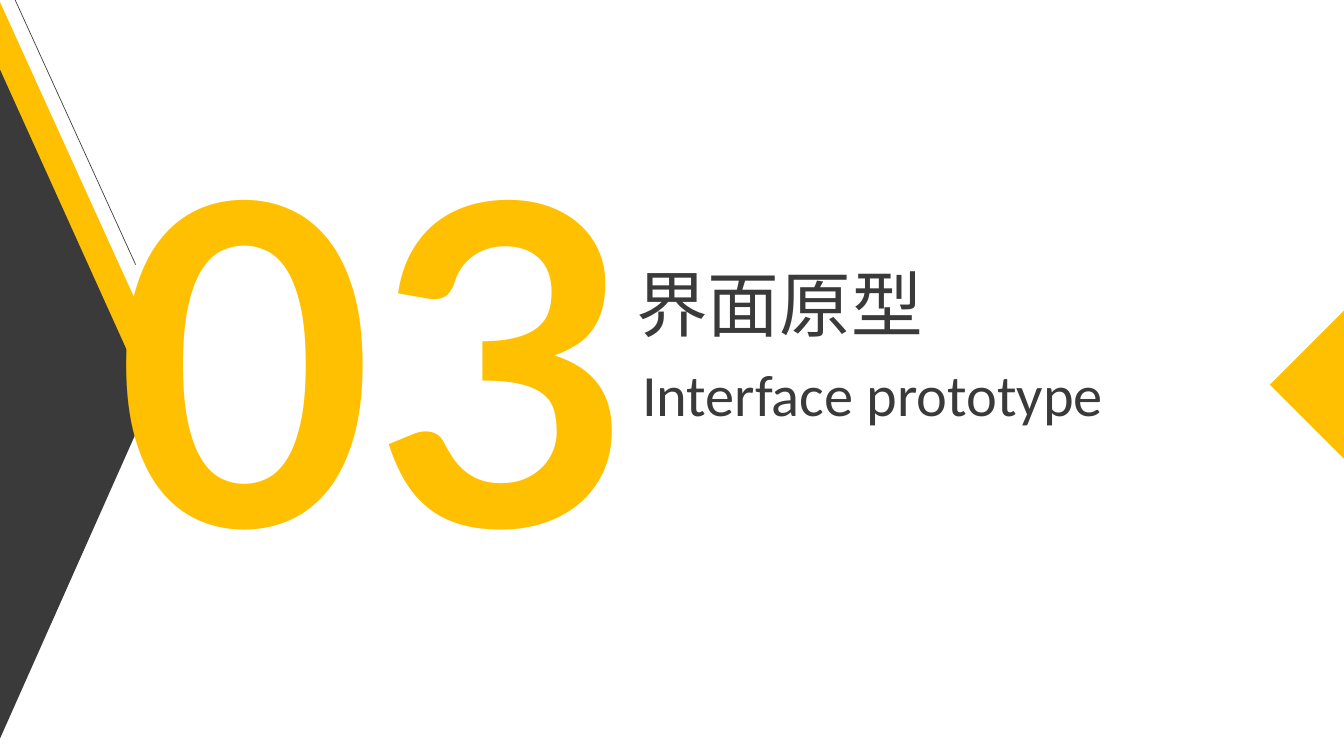
from pptx import Presentation
from pptx.dml.color import RGBColor
from pptx.enum.shapes import MSO_CONNECTOR
from pptx.enum.text import MSO_AUTO_SIZE, PP_ALIGN
from pptx.oxml.ns import qn
from pptx.util import Pt
from lxml.etree import SubElement

COLORS = {"yellow": "FFC001", "charcoal": "3A3A3A"}

deck = Presentation()
deck.slide_width, deck.slide_height = Pt(1012.5), Pt(569.5)
slide = deck.slides.add_slide(deck.slide_layouts[6])

wedges = [
    ("yellow", [(-6.5, 0), (-0.7, 0), (113, 250.5), (-6.5, 520)]),
    ("charcoal", [(-6.5, 38), (113, 302.5), (-5.8, 569.5), (-6.5, 569.5)]),
    ("yellow", [(1012.5, 234), (1012.5, 345.6), (956.7, 289.8)]),
]


def add_wedge(color, corners):
    points = [(Pt(x), Pt(y)) for x, y in corners]
    outline = slide.shapes.build_freeform(*points[0])
    outline.add_line_segments(points[1:], close=True)
    wedge = outline.convert_to_shape()
    wedge.shadow.inherit = False
    wedge.fill.solid()
    wedge.fill.fore_color.rgb = RGBColor.from_string(COLORS[color])
    wedge.line.fill.background()


for color, corners in wedges[:2]:
    add_wedge(color, corners)

edge_line = slide.shapes.add_connector(
    MSO_CONNECTOR.STRAIGHT, Pt(102.2), Pt(199.4), Pt(10.8), Pt(-1.4))
edge_line.line.color.rgb = RGBColor.from_string(COLORS["charcoal"])
edge_line.line.width = Pt(0.5)
SubElement(edge_line._element.spPr, qn("a:effectLst"))

add_wedge(*wedges[2])

captions = [
    ("Interface prototype", (476.6, 266.4, 365.8, 60.5), 44, "Calibri", "charcoal", False),
    ("界面原型", (472.3, 192.2, 232.6, 72.7), 54, "Karla", "charcoal", False),
    ("03", (68.4, 56.9, 427, 414.7), 336.1, "Lato", "yellow", True),
]
for words, place, size, typeface, color, is_number in captions:
    caption = slide.shapes.add_textbox(*[Pt(length) for length in place])
    frame = caption.text_frame
    frame.text = words
    frame.word_wrap = is_number
    frame.auto_size = MSO_AUTO_SIZE.SHAPE_TO_FIT_TEXT
    paragraph = frame.paragraphs[0]
    paragraph.alignment = PP_ALIGN.CENTER if is_number else PP_ALIGN.LEFT
    font = paragraph.runs[0].font
    font.size = Pt(size)
    font.name = typeface
    font.bold = is_number
    font.color.rgb = RGBColor.from_string(COLORS[color])

deck.save("out.pptx")
